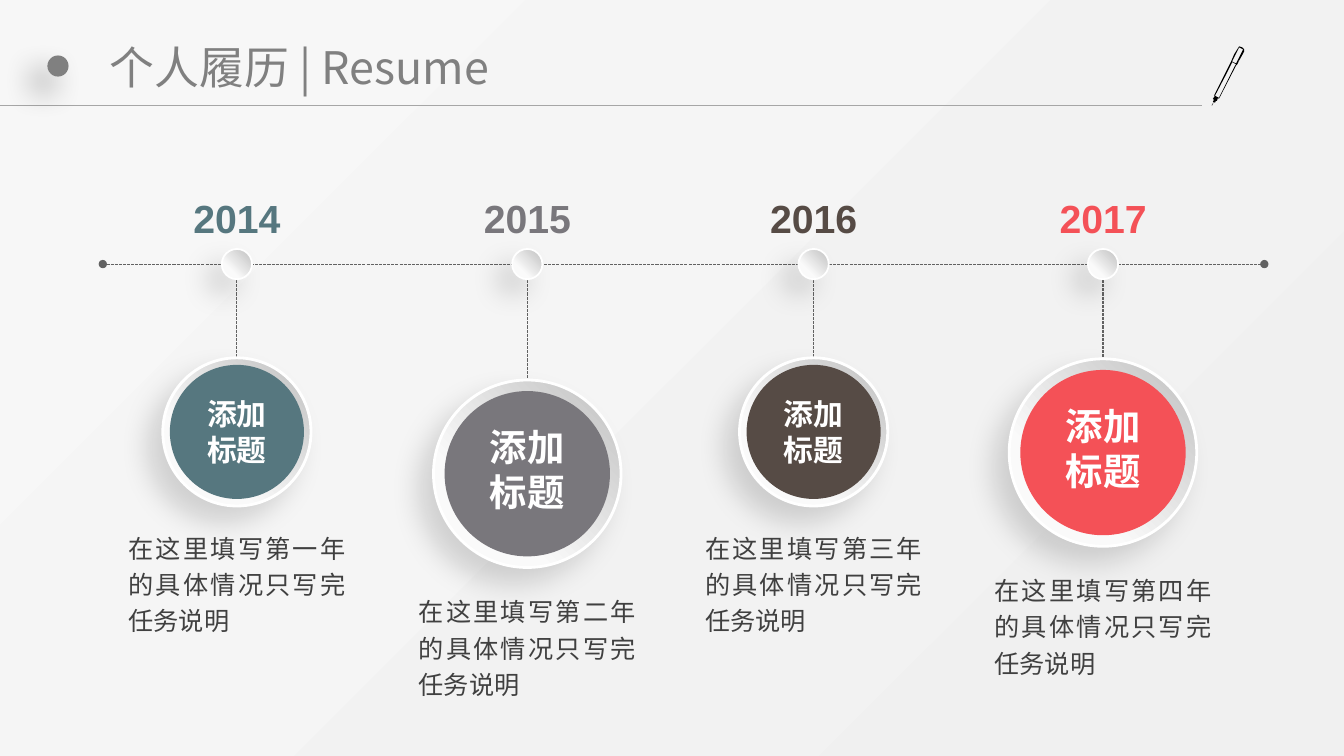
from dataclasses import dataclass

from lxml.etree import SubElement
from pptx import Presentation
from pptx.dml.color import RGBColor
from pptx.enum.dml import MSO_LINE
from pptx.enum.shapes import MSO_CONNECTOR, MSO_SHAPE
from pptx.enum.text import MSO_ANCHOR, MSO_AUTO_SIZE, PP_ALIGN
from pptx.oxml.ns import qn
from pptx.util import Inches, Pt

COLORS = {
    "background_dark": "F0F0F0", "background_light": "F7F7F7",
    "ring_dark": "BFBFBF", "ring_light": "FAFAFA",
    "header_line": "A6A6A6", "header": "808080",
    "timeline": "626262", "note": "404040",
    "teal": "56777F", "gray": "79777C", "brown": "564B45", "red": "F45157",
    "white": "FFFFFF", "black": "000000",
}
LATIN_FONT = "Arial"
CHINESE_FONT = "Noto Sans CJK SC"
AXIS_Y = 2.62


@dataclass
class RingSize:
    """Measures of a ring; the drops count from the top of the ring."""
    ring: float
    disc: float
    label_width: float
    label_height: float
    label_drop: float
    note_drop: float
    font_size: float


SMALL = RingSize(1.47, 1.33, 0.8, 0.82, 0.33, 1.64, 21.3)
LARGE = RingSize(1.86, 1.64, 0.95, 1.0, 0.39, 2.05, 26.7)

# year, colour, centre x, ring top, ring size, note
MILESTONES = [
    ("2014", "teal", 2.35, 3.55, SMALL, "在这里填写第一年的具体情况只写完任务说明"),
    ("2015", "gray", 5.23, 3.77, LARGE, "在这里填写第二年的具体情况只写完任务说明"),
    ("2016", "brown", 8.07, 3.55, SMALL, "在这里填写第三年的具体情况只写完任务说明"),
    ("2017", "red", 10.94, 3.56, LARGE, "在这里填写第四年的具体情况只写完任务说明"),
]

# Pen contours in hundredths of an inch: outline, barrel, cap
PEN = [
    [(1234, 49), (1232, 47), (1229, 46), (1224, 54), (1221, 61), (1204, 95),
     (1205, 95), (1203, 98), (1204, 99), (1203, 101), (1204, 101), (1202, 104),
     (1202, 105), (1204, 101), (1205, 102), (1206, 100), (1207, 100),
     (1208, 97), (1209, 98), (1226, 65), (1227, 64), (1233, 52), (1228, 61),
     (1228, 62), (1234, 51)],
    [(1225, 65), (1209, 97), (1205, 95), (1216, 74), (1222, 62), (1223, 62),
     (1226, 64)],
    [(1226, 63), (1222, 61), (1229, 47), (1233, 49)],
]


def rgb(name):
    return RGBColor.from_string(COLORS[name])


def set_solid(fill, color):
    fill.solid()
    fill.fore_color.rgb = rgb(color)


def set_gradient(fill, angle, stops):
    fill.gradient()
    fill.gradient_angle = angle
    for stop, (position, color) in zip(fill.gradient_stops, stops):
        stop.position = position
        stop.color.rgb = rgb(color)


def set_shadow(shape, blur, distance, opacity):
    effects = shape.element.spPr.find(qn("a:effectLst"))
    shadow = SubElement(effects, qn("a:outerShdw"), blurRad=str(Pt(blur)),
                        dist=str(Pt(distance)), dir=str(135 * 60000),
                        algn="tr", rotWithShape="0")
    color = SubElement(shadow, qn("a:srgbClr"), val=COLORS["black"])
    SubElement(color, qn("a:alpha"), val=str(opacity * 1000))


def add_circle(slide, center_x, center_y, diameter, color=None):
    shape = slide.shapes.add_shape(
        MSO_SHAPE.OVAL, Inches(center_x - diameter / 2),
        Inches(center_y - diameter / 2), Inches(diameter), Inches(diameter))
    shape.shadow.inherit = False
    shape.line.fill.background()
    if color:
        set_solid(shape.fill, color)
    return shape


def add_ring(slide, center_x, center_y, diameter, line_width):
    ring = add_circle(slide, center_x, center_y, diameter)
    set_gradient(ring.fill, 225, [(0, "ring_dark"), (0.7, "ring_light")])
    set_solid(ring.line.fill, "white")
    ring.line.width = Pt(line_width)
    set_shadow(ring, 20, 15, 15)


def add_line(slide, start, end, color):
    connector = slide.shapes.add_connector(
        MSO_CONNECTOR.STRAIGHT, *(Inches(value) for value in start + end))
    connector.line.color.rgb = rgb(color)
    connector.line.width = Pt(0.75)
    SubElement(connector.element.spPr, qn("a:effectLst"))
    return connector


def add_dashed_line(slide, start, end):
    connector = add_line(slide, start, end, "timeline")
    connector.line.dash_style = MSO_LINE.SQUARE_DOT
    for tag in ("a:headEnd", "a:tailEnd"):
        SubElement(connector.get_or_add_ln(), qn(tag), type="oval")


def add_run(paragraph, text, size, color, font_name, bold=False):
    run = paragraph.add_run()
    run.text = text
    run.font.size = Pt(size)
    run.font.bold = bold
    run.font.color.rgb = rgb(color)
    run.font.name = font_name
    SubElement(run._r.get_or_add_rPr(), qn("a:ea"), typeface=font_name)


def add_text(slide, center_x, top, width, height, lines, size, color,
             font_name=CHINESE_FONT, bold=True, align=PP_ALIGN.CENTER):
    box = slide.shapes.add_textbox(Inches(center_x - width / 2), Inches(top),
                                   Inches(width), Inches(height))
    frame = box.text_frame
    frame.word_wrap = False
    frame.auto_size = MSO_AUTO_SIZE.SHAPE_TO_FIT_TEXT
    for index, line in enumerate(lines):
        paragraph = frame.add_paragraph() if index else frame.paragraphs[0]
        paragraph.alignment = align
        add_run(paragraph, line, size, color, font_name, bold)
    return frame


def add_pen(slide):
    (first, *rest), *holes = PEN
    builder = slide.shapes.build_freeform(*first, scale=Inches(0.01))
    builder.add_line_segments(rest, close=True)
    for start, *points in holes:
        builder.move_to(*start)
        builder.add_line_segments(points, close=True)
    pen = builder.convert_to_shape()
    pen.shadow.inherit = False
    set_solid(pen.fill, "black")
    pen.line.fill.background()


def add_header(slide):
    add_line(slide, (0, 1.05), (11.92, 1.05), "header_line")
    dot = add_circle(slide, 0.575, 0.655, 0.21, "header")
    set_shadow(dot, 22, 15, 40)
    add_pen(slide)

    title = slide.shapes.title
    title.left, title.top = Inches(1.02), Inches(0.19)
    title.width, title.height = Inches(10.91), Inches(0.94)
    frame = title.text_frame
    frame.auto_size = MSO_AUTO_SIZE.NONE
    frame.vertical_anchor = MSO_ANCHOR.MIDDLE
    frame.margin_left = frame.margin_right = Inches(0.07)
    frame.margin_top = frame.margin_bottom = Inches(0.04)
    frame.paragraphs[0].alignment = PP_ALIGN.LEFT
    add_run(frame.paragraphs[0], "个人履历 | Resume", 32, "header", CHINESE_FONT)


def add_milestone(slide, year, color, x, top, size, note):
    center_y = top + size.ring / 2
    add_ring(slide, x, AXIS_Y, 0.3, 1.25)
    add_text(slide, x, 1.88, 1.11, 0.57, [year], 28, color, LATIN_FONT)
    add_ring(slide, x, center_y, size.ring, 2)
    add_circle(slide, x, center_y, size.disc, color)
    add_text(slide, x, top + size.label_drop, size.label_width,
             size.label_height, ["添加", "标题"], size.font_size, "white")
    frame = add_text(slide, x, top + size.note_drop, 2.35, 1.16, [note], 18,
                     "note", bold=False, align=PP_ALIGN.JUSTIFY)
    frame.word_wrap = True
    frame.vertical_anchor = MSO_ANCHOR.MIDDLE
    frame.paragraphs[0].line_spacing = 1.2


def main():
    presentation = Presentation()
    presentation.slide_width = Inches(13.33)
    presentation.slide_height = Inches(7.5)
    slide = presentation.slides.add_slide(presentation.slide_layouts[5])
    set_gradient(slide.background.fill, 135,
                 [(0, "background_dark"), (1, "background_light")])
    add_header(slide)

    # Timeline lines lie behind all rings
    for _, _, x, *_ in MILESTONES:
        add_dashed_line(slide, (x, AXIS_Y), (x, 3.93))
    add_dashed_line(slide, (1.02, AXIS_Y), (12.54, AXIS_Y))

    for milestone in MILESTONES:
        add_milestone(slide, *milestone)
    presentation.save("out.pptx")


if __name__ == "__main__":
    main()
